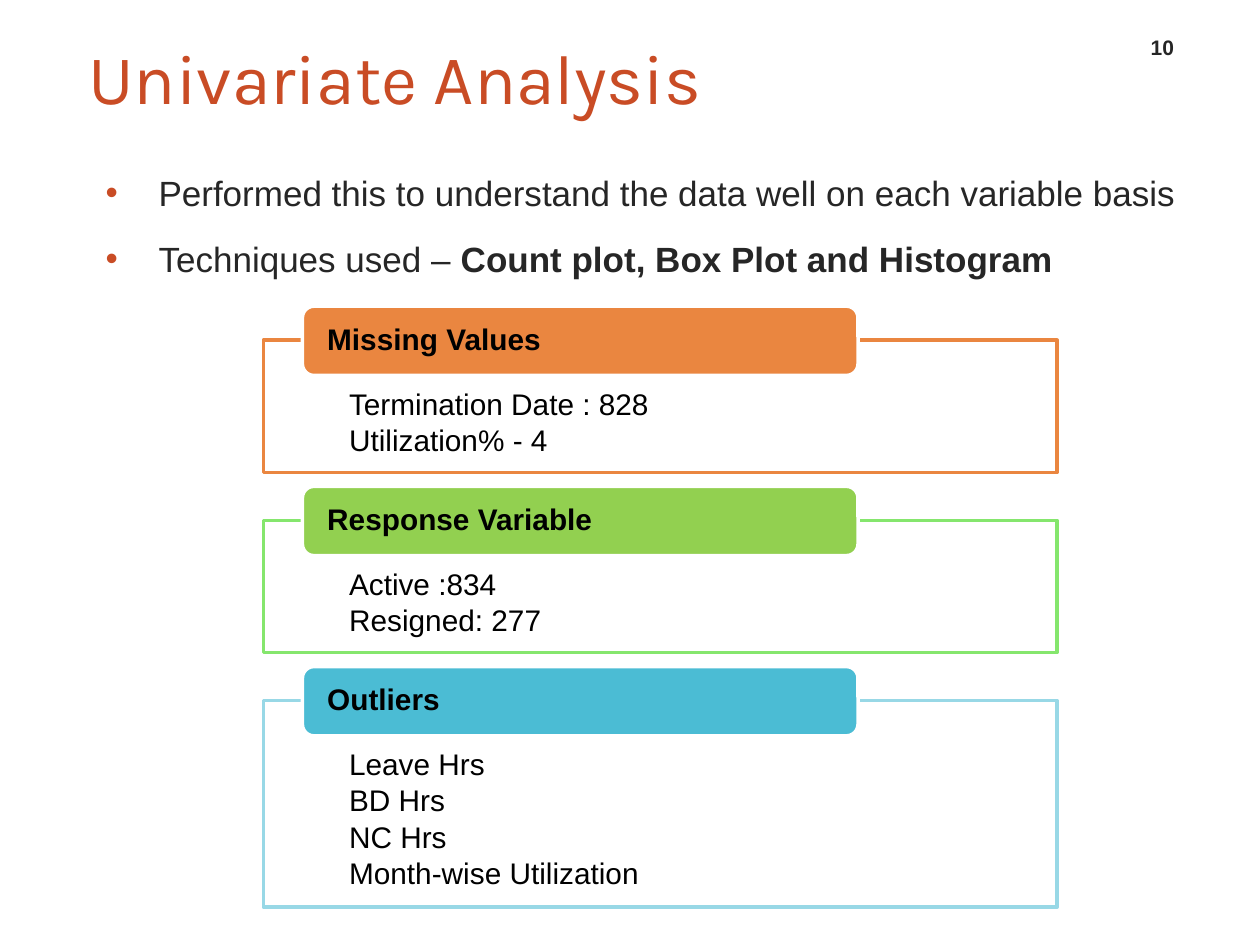
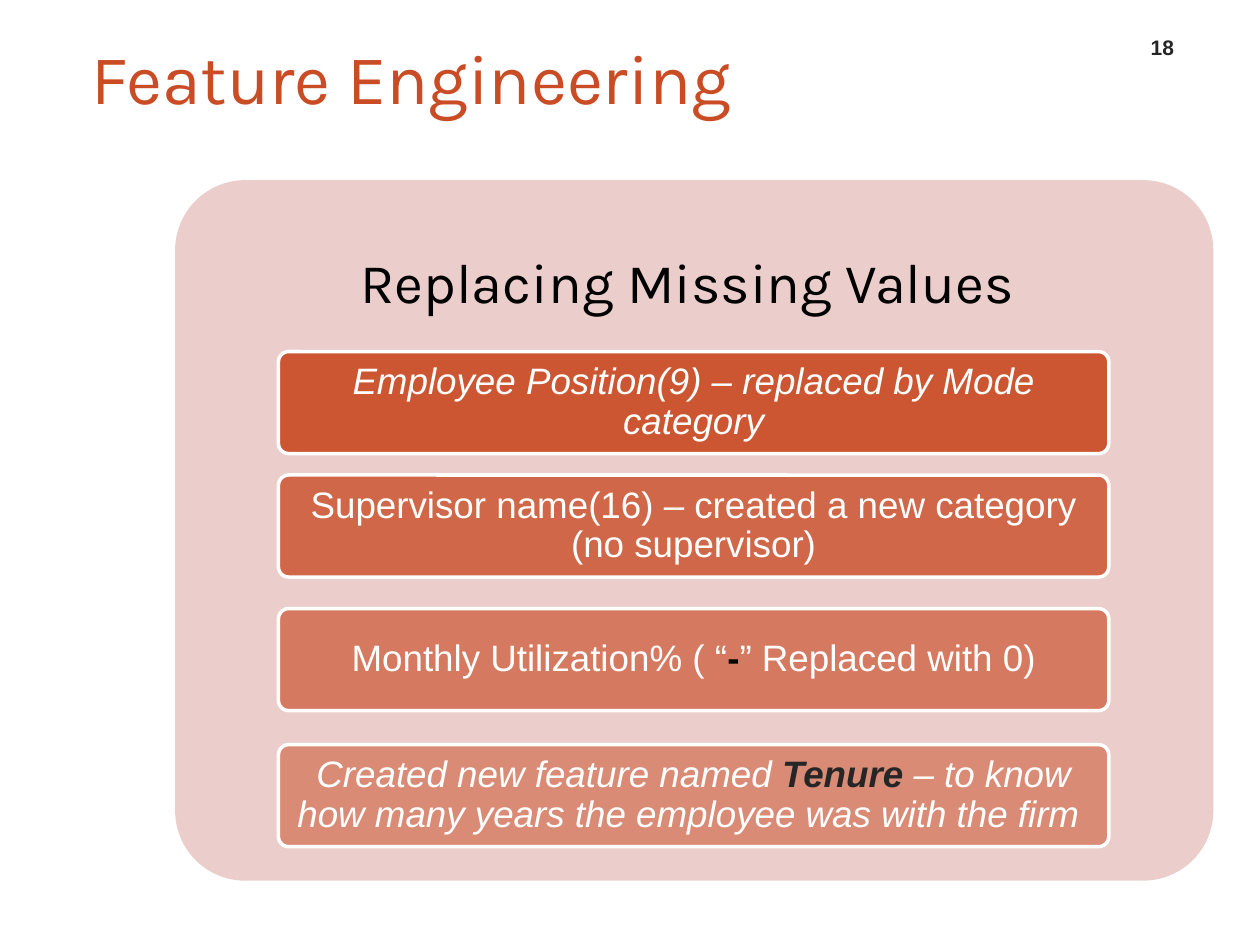
import lxml.etree
import pptx
import pptx.util
import pptx.dml.color
import pptx.enum.shapes
import pptx.enum.text
import pptx.oxml.ns

RGB = pptx.dml.color.RGBColor
RUST = RGB(0xC9, 0x4C, 0x25)
BRICK = RGB(0xC9, 0x49, 0x22)
BLUSH = RGB(0xEB, 0xCE, 0xCB)
INK = RGB(0x26, 0x26, 0x26)
BLACK = RGB(0, 0, 0)
WHITE = RGB(0xFF, 0xFF, 0xFF)
AMBER = RGB(0xEA, 0x86, 0x40)
GREEN = RGB(0x92, 0xD0, 0x50)
MINT = RGB(0x85, 0xE6, 0x6D)
TEAL = RGB(0x4B, 0xBC, 0xD4)
SKY = RGB(0x98, 0xD8, 0xE6)

ALIGN = pptx.enum.text.PP_ALIGN
ANCHOR = pptx.enum.text.MSO_ANCHOR
KIND = pptx.enum.shapes.MSO_SHAPE
qn = pptx.oxml.ns.qn

COLS, ROWS = 100, 75


def put(frame, text, size=17, font="Arial", color=BLACK, bold=False, italic=False,
        align=ALIGN.LEFT, anchor=ANCHOR.TOP, inset=(0.1, 0.05, 0.1, 0.05),
        left=0, first=0, line=None, gap=0, bullet=None):
    frame.word_wrap = True
    frame.auto_size = pptx.enum.text.MSO_AUTO_SIZE.NONE
    frame.vertical_anchor = anchor
    (frame.margin_left, frame.margin_top,
     frame.margin_right, frame.margin_bottom) = map(pptx.util.Inches, inset)
    for i, runs in enumerate([text] if isinstance(text, str) else text):
        para = frame.add_paragraph() if i else frame.paragraphs[0]
        para.alignment = align
        para.space_before = pptx.util.Pt(gap if i else 0)
        if line:
            para.line_spacing = line
        props = para._p.get_or_add_pPr()
        props.set("marL", str(pptx.util.Inches(left)))
        props.set("indent", str(pptx.util.Inches(first)))
        if bullet:
            tint = lxml.etree.SubElement(props, qn("a:buClr"))
            lxml.etree.SubElement(tint, qn("a:srgbClr"), val=str(bullet))
            lxml.etree.SubElement(props, qn("a:buFont"), typeface="Arial")
            lxml.etree.SubElement(props, qn("a:buChar"), char="•")
        for part in [(runs, {})] if isinstance(runs, str) else runs:
            words, change = part
            run = para.add_run()
            run.text = words
            run.font.size = pptx.util.Pt(size)
            run.font.name = font
            run.font.bold = change.get("bold", bold)
            run.font.italic = italic
            run.font.color.rgb = change.get("color", color)


class Deck:
    def __init__(self):
        self.file = pptx.Presentation()
        self.file.slide_width = pptx.util.Inches(10)
        self.file.slide_height = pptx.util.Inches(7.5)
        self.slide = None

    def place(self, col, row, wide, high):
        unit = self.file.slide_width / COLS
        step = self.file.slide_height / ROWS
        return [round(n) for n in (col * unit, row * step, wide * unit, high * step)]

    def page(self, title, number, align=ALIGN.LEFT):
        self.slide = self.file.slides.add_slide(self.file.slide_layouts[5])
        head = self.slide.shapes.title
        head.left, head.top, head.width, head.height = self.place(5, 1.7, 53.3, 8.7)
        put(head.text_frame, title, size=40, font="Karla", color=RUST, align=align,
            anchor=ANCHOR.MIDDLE, inset=(0, 0.05, 0, 0.05), left=0.2)
        self.text((89.5, 1.9, 5.5, 3.3), number, size=12, color=INK, bold=True,
                  align=ALIGN.CENTER, anchor=ANCHOR.BOTTOM)

    def text(self, area, words, **style):
        box = self.slide.shapes.add_textbox(*self.place(*area))
        put(box.text_frame, words, **style)

    def block(self, area, fill, edge=None, words=None, bend=None, alpha=None, **style):
        kind = KIND.ROUNDED_RECTANGLE if bend else KIND.RECTANGLE
        shape = self.slide.shapes.add_shape(kind, *self.place(*area))
        shape.shadow.inherit = False
        if bend:
            shape.adjustments[0] = bend
        shape.fill.solid()
        shape.fill.fore_color.rgb = fill
        if alpha:
            tint = shape._element.spPr.find(qn("a:solidFill"))[0]
            lxml.etree.SubElement(tint, qn("a:alpha"), val=str(alpha * 1000))
        if edge:
            shape.line.color.rgb = edge
            shape.line.width = pptx.util.Pt(2)
        else:
            shape.line.fill.background()
        if words:
            put(shape.text_frame, words, line=0.9, **style)

    def card(self, row, high, name, items, fill, edge):
        self.block((20.9, row + 2.7, 63, high), WHITE, edge, items,
                   inset=(0.49, 0.39, 0.49, 0.13), left=0.19, gap=2.5)
        self.block((24, row, 44.1, 5.5), fill, WHITE, name, bend=0.167, bold=True,
                   anchor=ANCHOR.MIDDLE, inset=(0.17, 0, 0.17, 0))

    def bar(self, row, words, alpha, italic):
        self.block((22.1, row, 65.9, 8.1), BRICK, WHITE, [words], bend=0.1, alpha=alpha,
                   size=21, color=WHITE, italic=italic, align=ALIGN.CENTER,
                   anchor=ANCHOR.MIDDLE, inset=(0.06, 0.04, 0.06, 0.04))


def study(deck):
    deck.page("Univariate Analysis", "10")
    deck.text((6.7, 13.1, 90, 11), [
        "Performed this to understand the data well on each variable basis",
        [("Techniques used – ", {}),
         ("Count plot, Box Plot and Histogram", {"bold": True})],
    ], size=20, color=INK, left=0.49, first=-0.42, gap=14, bullet=RUST)
    cards = [
        (10.5, "Missing Values", ["Termination Date : 828", "Utilization% - 4"], AMBER, AMBER),
        (10.5, "Response Variable", ["Active :834", "Resigned: 277"], GREEN, MINT),
        (16.4, "Outliers", ["Leave Hrs", "BD Hrs", "NC Hrs", "Month-wise Utilization"],
         TEAL, SKY),
    ]
    for i, card in enumerate(cards):
        deck.card(24.3 + 14.3 * i, *card)


def feature(deck):
    deck.page("Feature Engineering", "18", ALIGN.CENTER)
    deck.block((13.9, 14.3, 82.4, 55.6), BLUSH, bend=0.1)
    deck.text((13.9, 14.3, 82.4, 16.7), "Replacing Missing Values ", size=32, font="Karla",
              align=ALIGN.CENTER, anchor=ANCHOR.MIDDLE, inset=(0.13,) * 4, line=0.9)
    bars = [
        (27.9, "Employee Position(9) – replaced by Mode category", True),
        (37.7, "Supervisor name(16) – created a new category (no supervisor)", False),
        (48.3, [("Monthly Utilization% ( “", {}), ("-", {"color": BLACK, "bold": True}),
                ("” Replaced with 0)", {})], False),
        (59.1, [("Created new feature named ", {}), ("Tenure", {"color": INK, "bold": True}),
                (" – to know how many years the employee was with the firm ", {})], True),
    ]
    for i, (row, words, italic) in enumerate(bars):
        deck.bar(row, words, round(90 - 40 * i / 3), italic)


def main():
    deck = Deck()
    study(deck)
    feature(deck)
    deck.file.save("out.pptx")


if __name__ == "__main__":
    main()
